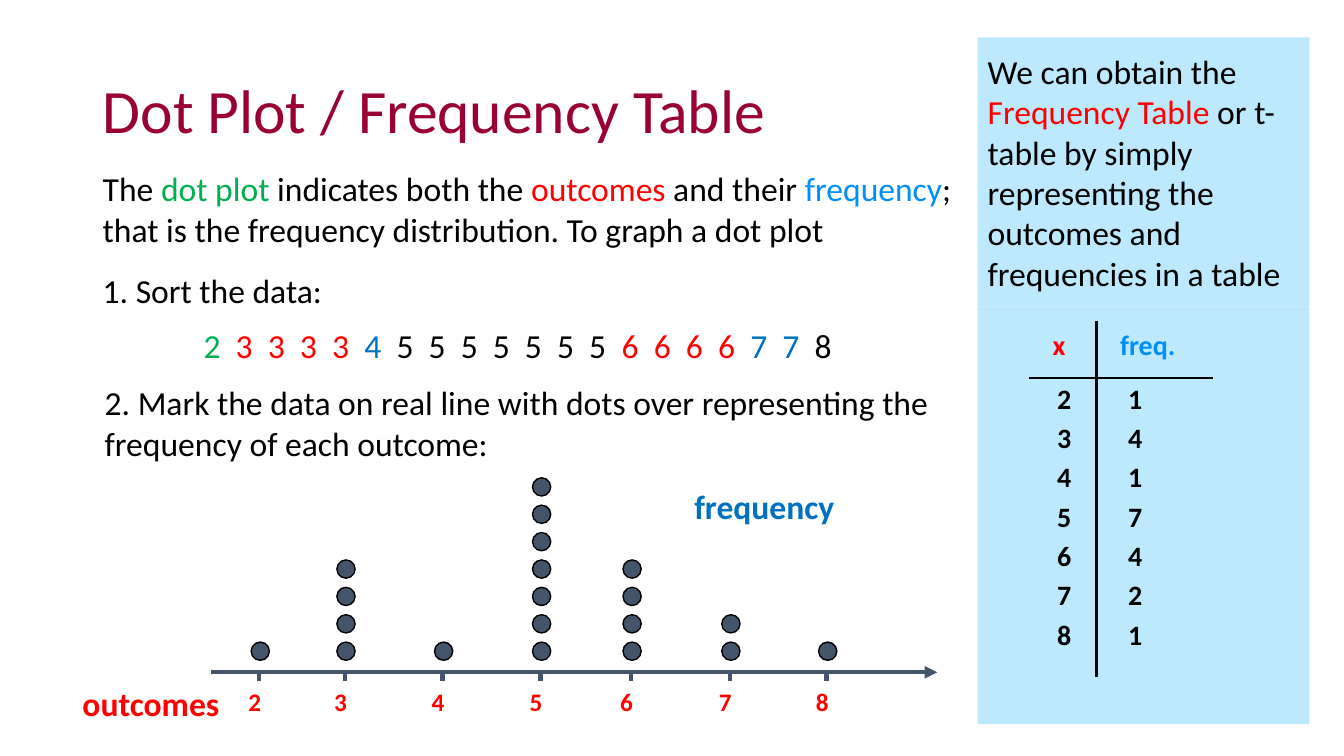
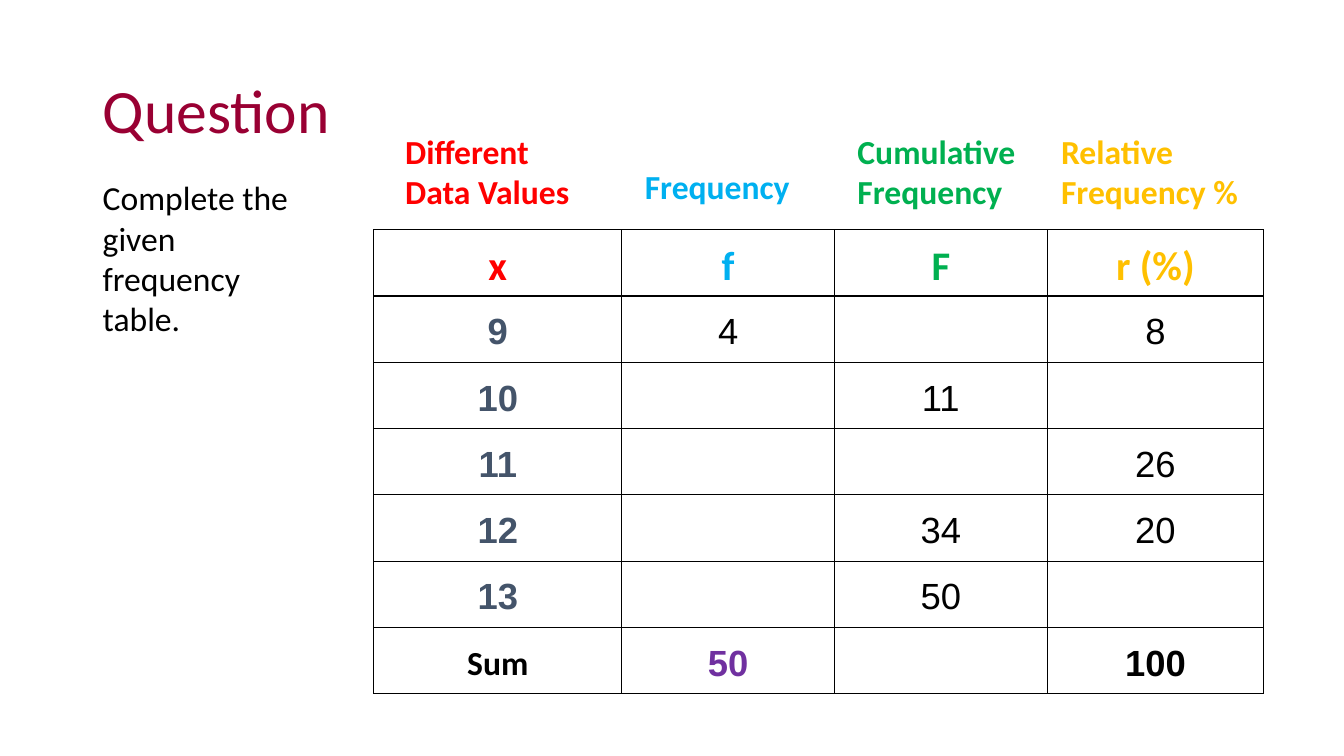
"""Build two slides on dot plots and frequency tables."""
from collections import Counter
from itertools import groupby

from lxml.etree import SubElement
from pptx import Presentation
from pptx.dml.color import RGBColor
from pptx.enum.dml import MSO_LINE as Dash
from pptx.enum.shapes import MSO_CONNECTOR as Link, MSO_SHAPE as Form
from pptx.enum.text import MSO_ANCHOR as Anchor, PP_ALIGN as Align
from pptx.oxml.ns import qn
from pptx.util import Cm, Pt

BLACK, RED, GREEN, BLUE = "000000", "FF0000", "00B050", "0070C0"
SKY, CYAN, GOLD, PURPLE = "008FFA", "00B0F0", "FFC000", "7030A0"
SLATE, WINE, PALE = "44546A", "990033", "BDE9FF"
WIDE = (0.3, 0.15)
DATA = [2] + [3] * 4 + [4] + [5] * 7 + [6] * 4 + [7] * 2 + [8]
TINTS = {2: GREEN, 3: RED, 4: BLUE, 6: RED, 7: BLUE}
TICKS = [1.22, 3.38, 5.84, 8.31, 10.59, 13.08, 15.52]


def rgb(code):
    """Turn a hex string into a colour."""
    return RGBColor.from_string(code)


def write(frame, lines, size=24, tint=BLACK, bold=False, face="Calibri"):
    """Fill a frame with lines, each a string or a list of (text, colour) runs."""
    for i, line in enumerate(lines):
        para = frame.add_paragraph() if i else frame.paragraphs[0]
        font = para.font
        font.size, font.name, font.bold = Pt(size), face, bold
        font.color.rgb = rgb(tint)
        for part in [line] if isinstance(line, str) else line:
            run = para.add_run()
            if isinstance(part, str):
                run.text = part
            else:
                run.text = part[0]
                run.font.color.rgb = rgb(part[1])


def label(slide, box, lines, inset=(0.25, 0.13), wrap=True, **style):
    """Add a text box and return its frame."""
    frame = slide.shapes.add_textbox(*map(Cm, box)).text_frame
    frame.word_wrap = wrap
    frame.margin_left = frame.margin_right = Cm(inset[0])
    frame.margin_top = frame.margin_bottom = Cm(inset[1])
    write(frame, lines, **style)
    return frame


def title(slide, text):
    """Add the slide title."""
    frame = label(slide, (2.34, 1.02, 21.6, 3.68), [text], size=44, tint=WINE)
    frame.vertical_anchor = Anchor.MIDDLE
    frame.paragraphs[0].line_spacing = 0.9


def solid(slide, form, box, fill, edge=None):
    """Add a filled shape with an optional outline."""
    shape = slide.shapes.add_shape(form, *map(Cm, box))
    shape.shadow.inherit = False
    shape.fill.solid()
    shape.fill.fore_color.rgb = rgb(fill)
    if edge:
        shape.line.color.rgb = rgb(edge)
        shape.line.width = Pt(1)
    else:
        shape.line.fill.background()
    return shape


def rule(slide, ends, dash=None, head=False):
    """Draw a straight slate line."""
    link = slide.shapes.add_connector(Link.STRAIGHT, *map(Cm, ends))
    link.line.color.rgb = rgb(SLATE)
    link.line.width = Pt(3)
    if dash:
        link.line.dash_style = dash
    props = link._element.spPr
    if head:
        SubElement(props.find(qn("a:ln")), qn("a:tailEnd"), type="triangle")
    SubElement(props, qn("a:effectLst"))


def edges(cell, sides, width):
    """Draw the named sides of a cell and clear its other sides and fill."""
    props = cell._tc.get_or_add_tcPr()
    for side in "LRTB":
        line = SubElement(props, qn("a:ln" + side), w=str(Pt(width)))
        if side in sides:
            fill = SubElement(line, qn("a:solidFill"))
            SubElement(fill, qn("a:srgbClr"), val=BLACK)
        else:
            SubElement(line, qn("a:noFill"))
    cell.fill.background()


def grid(slide, spot, cols, rows):
    """Add a plain table with the given column widths and row heights."""
    size = sum(cols), sum(rows)
    table = slide.shapes.add_table(
        len(rows), len(cols), *map(Cm, (*spot, *size))).table
    table.first_row = table.horz_banding = False
    for col, width in zip(table.columns, cols):
        col.width = Cm(width)
    for row, height in zip(table.rows, rows):
        row.height = Cm(height)
    return table


def plot(slide, box):
    """Draw the dot plot with its axis on the bottom of the box."""
    left, top, width, height = box
    base = top + height
    rule(slide, (left, base, left + width, base), head=True)
    for (value, count), tick in zip(Counter(DATA).items(), TICKS):
        mid = left + tick
        rule(slide, (mid, base, mid, base + 0.23), dash=Dash.DASH)
        label(slide, (mid - 0.57, base + 0.21, 0.94, 1.07), [str(value)],
              WIDE, False, size=18, tint=RED, bold=True)
        for i in range(count):
            spot = (mid - 0.2, base - 0.76 - 0.69 * i, 0.46, 0.46)
            solid(slide, Form.OVAL, spot, SLATE, BLACK)
    label(slide, (left - 3.48, base + 0.13, 3.99, 1.27), ["outcomes"],
          wrap=False, tint=RED, bold=True)
    label(slide, (left + 11.94, top + 0.12, 4.09, 1.27), ["frequency"],
          wrap=False, tint=BLUE, bold=True)


def panel(slide, box):
    """Draw the side panel with its note and frequency table."""
    left, top, width, height = box
    split = 6.78
    solid(slide, Form.RECTANGLE,
          (left, top + split, width, height - split), PALE)
    note = solid(slide, Form.RECTANGLE, (left, top, width, split), PALE)
    frame = note.text_frame
    frame.word_wrap = True
    frame.vertical_anchor = Anchor.MIDDLE
    write(frame, [["We can obtain the ", ("Frequency Table", RED),
                   " or t-table by simply representing the outcomes "
                   "and frequencies in a table"]])
    frame.paragraphs[0].alignment = Align.LEFT
    rows = [("x", "freq.")] + list(Counter(DATA).items())
    table = grid(slide, (left + 1.29, top + 7.16), (1.7, 2.95),
                 [1.42] + [0.99] * 6 + [1.61])
    for r, pair in enumerate(rows):
        for c, value in enumerate(pair):
            cell = table.cell(r, c)
            edges(cell, "RL"[c] + ("T" if r == 1 else "" if r else "B"), 2)
            cell.margin_left = Cm((0.71, 0.8)[c] if r else 0.6)
            cell.margin_right = cell.margin_bottom = 0
            cell.margin_top = Cm(0.12 if r else 0.18)
            tint = BLACK if r else (RED, SKY)[c]
            write(cell.text_frame, [str(value)], 20, tint, True)


def sort(slide, box):
    """Show the sorted data, coloured by value."""
    runs = [(" ".join(map(str, group)) + " ", TINTS.get(value, BLACK))
            for value, group in groupby(DATA)]
    frame = label(slide, box, ["1. Sort the data:", runs])
    row = frame.paragraphs[1]
    row.space_before = Pt(10)
    row._p.get_or_add_pPr().set("marL", str(Cm(2.54)))
    for run in row.runs:
        run._r.get_or_add_rPr().set("spc", "270")


def heads(slide, left, top):
    """Place the column names above the table's top left corner."""
    for x, y, width, lines, tint in [
            (0.49, 2.64, 6.05, ["Different", "Data Values"], RED),
            (6.53, 1.75, 5.61, ["Frequency"], CYAN),
            (11.89, 2.64, 4.72, ["Cumulative", "Frequency"], GREEN),
            (17.02, 2.64, 5.11, ["Relative", "Frequency %"], GOLD)]:
        label(slide, (left + x, top - y, width, 0.3 + 1.03 * len(lines)),
              lines, WIDE, tint=tint, bold=True)


def task(slide, left, top):
    """Draw the table to complete, with its column names."""
    heads(slide, left, top)
    rows = [("x", "f", "F", "r (%)"), ("9", "4", "", "8"),
            ("10", "", "11", ""), ("11", "", "", "26"),
            ("12", "", "34", "20"), ("13", "", "50", ""),
            ("Sum", "50", "", "100")]
    last = len(rows) - 1
    table = grid(slide, (left, top), (6.25, 5.36, 5.36, 5.46),
                 [1.67] * len(rows))
    for r, row in enumerate(rows):
        for c, text in enumerate(row):
            cell = table.cell(r, c)
            edges(cell, "LRTB", 1)
            cell.vertical_anchor = Anchor.MIDDLE
            cell.margin_top = cell.margin_bottom = 0
            if not text:
                continue
            size, tint, bold, face = 26, BLACK, True, "Arial"
            if r == 0:
                size, tint, face = 29, (RED, CYAN, GREEN, GOLD)[c], "Calibri"
            elif text == "Sum":
                size, face = 24, "Calibri"
            elif r == last:
                tint = PURPLE if c == 1 else BLACK
            elif c == 0:
                tint = SLATE
            else:
                bold = False
            write(cell.text_frame, [text], size, tint, bold, face)
            para = cell.text_frame.paragraphs[0]
            para.alignment, para.line_spacing = Align.CENTER, 1.15


def lesson(slide):
    """Build the slide that explains the dot plot."""
    title(slide, "Dot Plot / Frequency Table")
    label(slide, (2.34, 4.11, 22.17, 2.31), [[
        "The ", ("dot plot ", GREEN), "indicates both the ",
        ("outcomes", RED), " and their ", ("frequency", SKY),
        "; that is the frequency distribution. To graph a dot plot"]])
    sort(slide, (2.34, 6.68, 22.17, 2.67))
    label(slide, (2.39, 9.5, 22.17, 2.31), [
        "2. Mark the data on real line with dots over representing "
        "the frequency of each outcome:"])
    plot(slide, (5.31, 12, 18.31, 4.94))
    panel(slide, (24.64, 0.94, 8.36, 17.3))


def quiz(slide):
    """Build the slide with the question."""
    title(slide, "Question")
    label(slide, (2.34, 4.34, 5.51, 4.37),
          ["Complete the given frequency table."])
    task(slide, 9.42, 5.79)


def main():
    """Build and save the deck."""
    deck = Presentation()
    deck.slide_width, deck.slide_height = Cm(33.87), Cm(19.05)
    for build in (lesson, quiz):
        build(deck.slides.add_slide(deck.slide_layouts[6]))
    deck.save("out.pptx")


if __name__ == "__main__":
    main()
